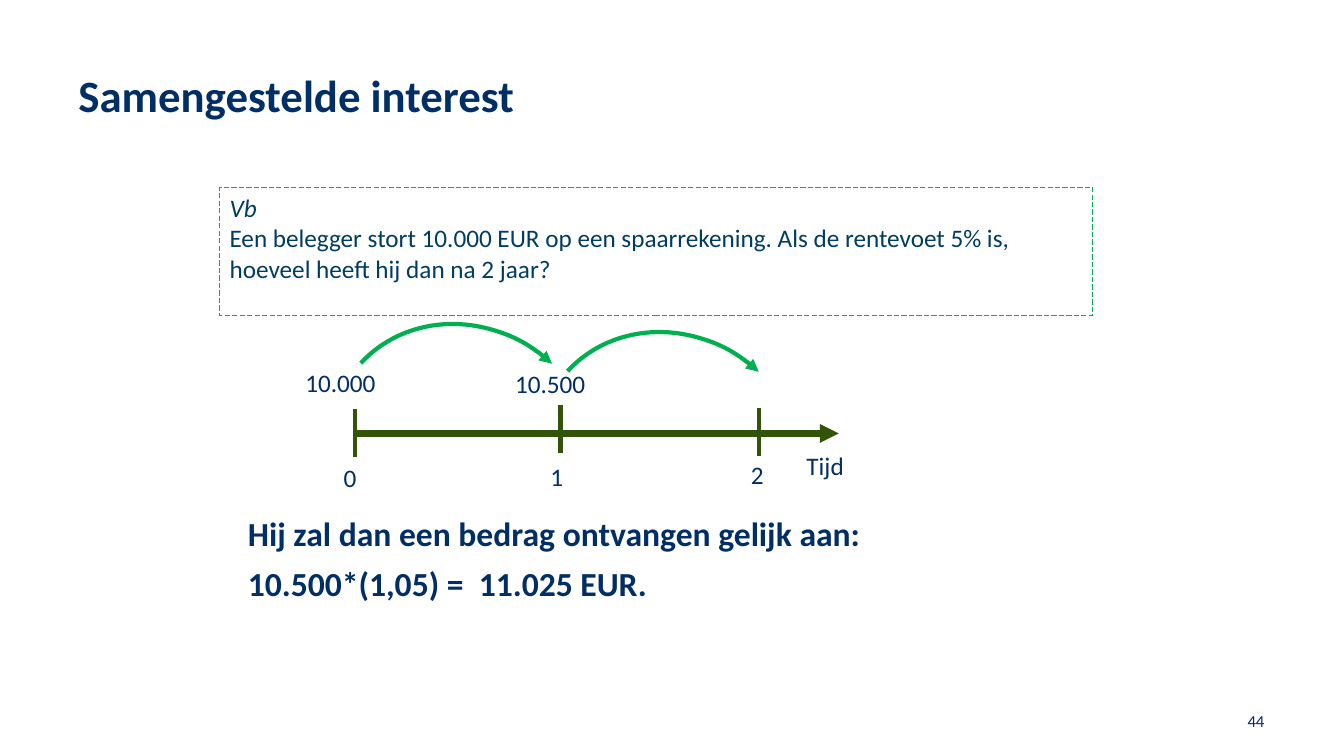
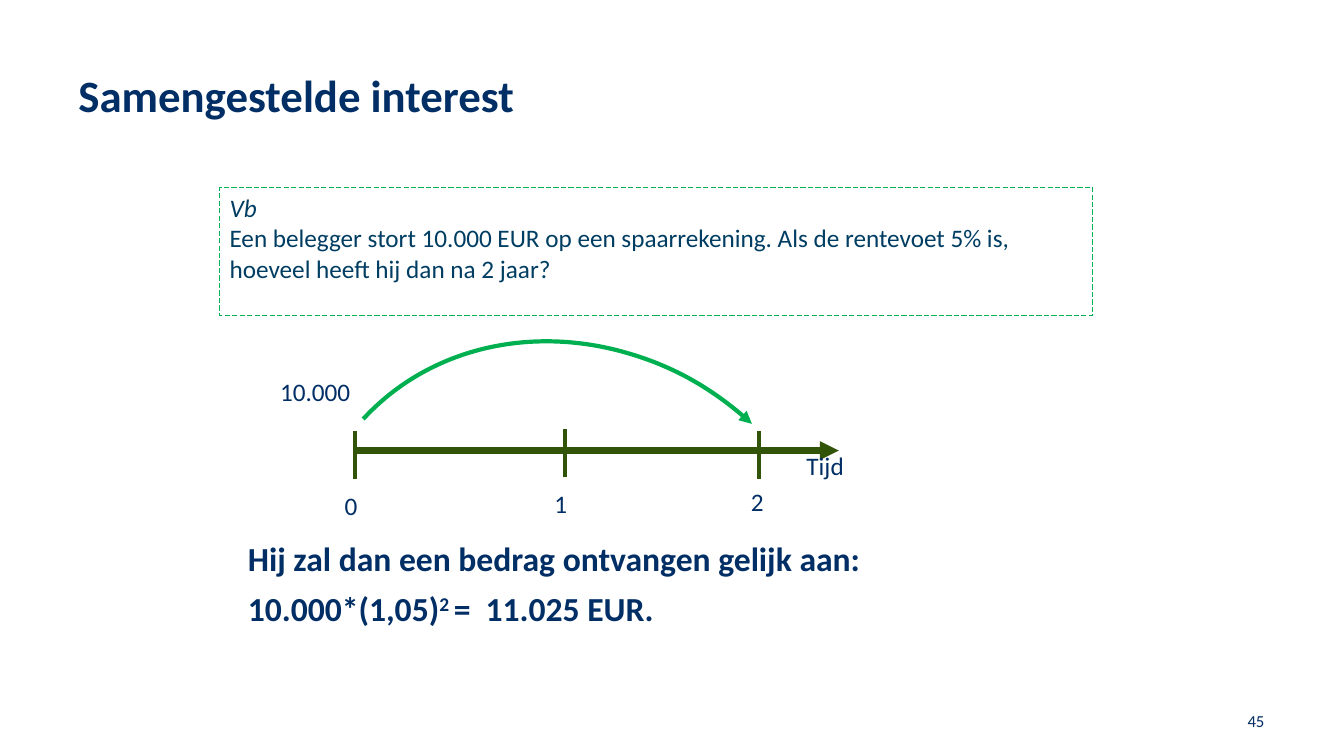
from dataclasses import dataclass

from lxml import etree
from pptx import Presentation
from pptx import util as u
from pptx.dml.color import RGBColor
from pptx.enum import dml, shapes, text
from pptx.oxml.ns import qn

PX = 9144  # 100 px per inch


@dataclass(frozen=True)
class Theme:
    font: str = "Calibri"
    navy: str = "002E65"
    petrol: str = "003D62"
    green: str = "00B050"
    olive: str = "325409"
    title: int = 32
    answer: int = 24
    body: int = 18
    footer: int = 12
    axis: float = 4.5
    stroke: float = 3


T = Theme()

TITLE = "Samengestelde interest"
# A paragraph is a list of (text, format) runs.
EXAMPLE = [
    [("Vb", {"italic": True})],
    [("Een belegger stort 10.000 EUR op een spaarrekening. Als de rentevoet 5% is, "
      "hoeveel heeft hij dan na 2 jaar?", {})],
]
ANSWER = "Hij zal dan een bedrag ontvangen gelijk aan:"
AXIS_LEFT, AXIS_RIGHT, TICK_HEIGHT = 352, 832, 47
ARC_ANGLE = 312.6

SLIDES = [
    {
        "number": "44",
        "axis_y": 430,
        # x, top, label left, label top
        "ticks": [(352, 406, 331, 454), (556, 402, 536, 453), (753, 405, 735, 451)],
        "amounts": [("10.000", 293, 359), ("10.500", 501, 361)],
        "arcs": [(333, 315, 256, 280), (538, 323, 256, 280)],
        "answer_top": 508,
        "formula": [("10.500*(1,05) =  11.025 EUR.", {})],
    },
    {
        "number": "45",
        "axis_y": 447,
        "ticks": [(352, 428, 332, 482), (560, 426, 540, 480), (753, 428, 735, 478)],
        "amounts": [("10.000", 268, 368)],
        "arcs": [(314, 323, 515, 574)],
        "answer_top": 533,
        "formula": [("10.000*(1,05)", {}), ("2 ", {"raised": True}),
                    ("=  11.025 EUR.", {})],
    },
]


def px(*lengths):
    return [u.Emu(round(n * PX)) for n in lengths]


def add_text(slide, box, content, size=T.body, color=T.navy, bold=False, spacing=1.0,
             gap=0, align=text.PP_ALIGN.LEFT, anchor=text.MSO_ANCHOR.TOP):
    """Add a text box; content is a string or a list of paragraphs of runs."""
    sp = slide.shapes.add_textbox(*px(*box))
    tf = sp.text_frame
    tf.word_wrap = True
    tf.vertical_anchor = anchor
    paragraphs = [[(content, {})]] if isinstance(content, str) else content
    for i, runs in enumerate(paragraphs):
        p = tf.add_paragraph() if i else tf.paragraphs[0]
        p.alignment, p.line_spacing = align, spacing
        if i:
            p.space_before = u.Pt(gap)
        for words, fmt in runs:
            r = p.add_run()
            r.text = words
            r.font.name, r.font.size, r.font.bold = T.font, u.Pt(size), bold
            r.font.italic = fmt.get("italic", False)
            r.font.color.rgb = RGBColor.from_string(color)
            if fmt.get("raised"):
                r.font._element.set("baseline", "30000")
    return sp


def style_line(sp, color, width=None, arrow=False):
    sp.line.color.rgb = RGBColor.from_string(color)
    if width:
        sp.line.width = u.Pt(width)
    if arrow:
        etree.SubElement(sp.line._get_or_add_ln(), qn("a:tailEnd"), type="triangle")


def add_line(slide, ends, width, arrow=False):
    cx = slide.shapes.add_connector(shapes.MSO_CONNECTOR.STRAIGHT, *px(*ends))
    style_line(cx, T.olive, width, arrow)
    etree.SubElement(cx._element.spPr, qn("a:effectLst"))


def add_arc(slide, box):
    sp = slide.shapes.add_shape(shapes.MSO_SHAPE.ARC, *px(*box))
    sp.rotation = ARC_ANGLE
    sp.fill.background()
    style_line(sp, T.green, T.stroke, arrow=True)
    sp.shadow.inherit = False


def add_frame(slide, number):
    """Add the title, the example box and the page number."""
    add_text(slide, (68, 68, 1196, 117), TITLE, size=T.title, bold=True, spacing=0.9)
    example = add_text(slide, (218, 186, 866, 127), EXAMPLE, color=T.petrol)
    style_line(example, T.green)
    example.line.dash_style = dml.MSO_LINE.DASH
    add_text(slide, (964, 695, 300, 40), number, size=T.footer,
             align=text.PP_ALIGN.RIGHT, anchor=text.MSO_ANCHOR.MIDDLE)


def add_timeline(slide, data):
    y = data["axis_y"]
    add_line(slide, (AXIS_LEFT, y, AXIS_RIGHT, y), T.axis, arrow=True)
    for year, (x, top, label_left, label_top) in enumerate(data["ticks"]):
        add_line(slide, (x, top, x, top + TICK_HEIGHT), T.stroke)
        add_text(slide, (label_left, label_top, 41, 40), str(year))
    add_text(slide, (790, 442, 71, 40), "Tijd")
    for amount, left, top in data["amounts"]:
        add_text(slide, (left, top, 128, 40), amount)
    for box in data["arcs"]:
        add_arc(slide, box)


def main():
    prs = Presentation()
    prs.slide_width, prs.slide_height = u.Inches(13.33), u.Inches(7.5)
    for data in SLIDES:
        slide = prs.slides.add_slide(prs.slide_layouts[6])
        add_frame(slide, data["number"])
        add_timeline(slide, data)
        top = data["answer_top"]
        add_text(slide, (236, top, 861, 653 - top), [[(ANSWER, {})], data["formula"]],
                 size=T.answer, bold=True, spacing=0.9, gap=10)
    prs.save("out.pptx")


if __name__ == "__main__":
    main()
